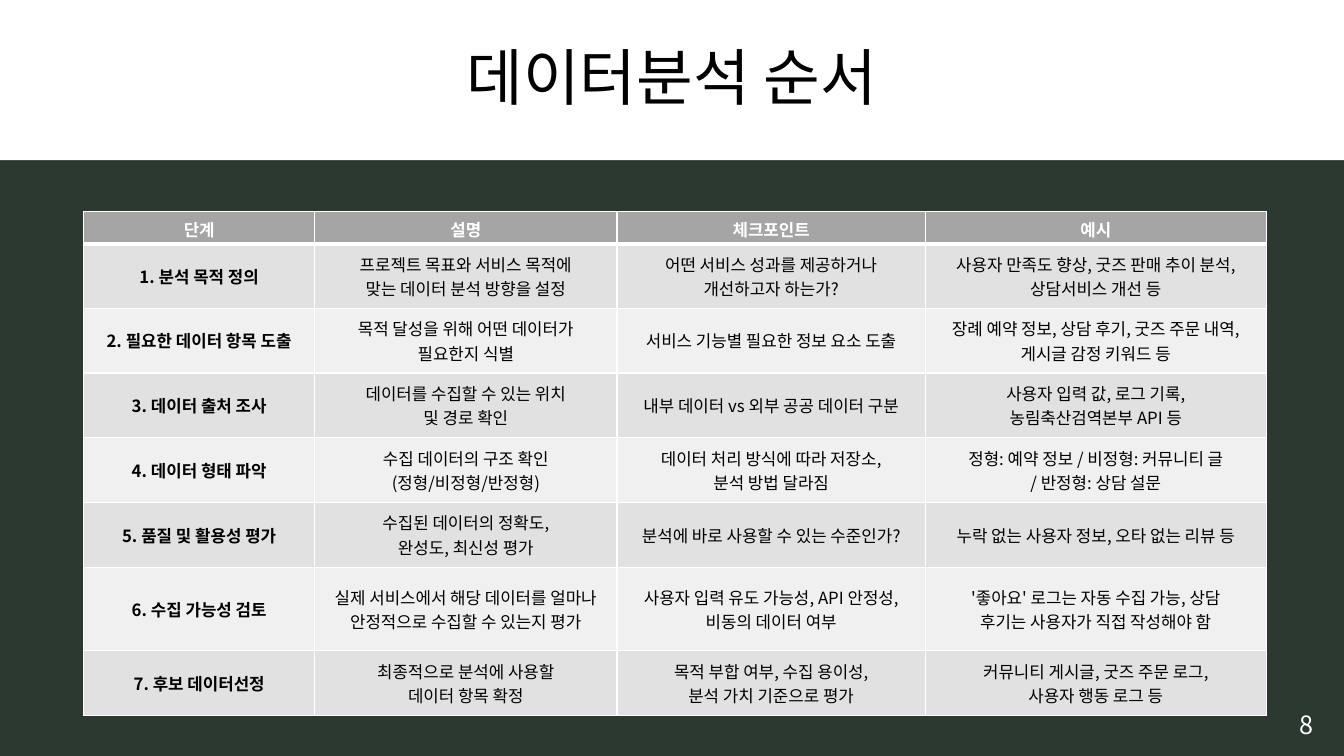
"""Build the slide listing the seven steps of data analysis in a table."""
from dataclasses import dataclass

from lxml.etree import SubElement
from pptx import Presentation
from pptx.dml.color import RGBColor as Color
from pptx.enum.shapes import MSO_SHAPE as Shape
from pptx.enum.text import MSO_ANCHOR as Anchor, MSO_AUTO_SIZE as AutoSize, PP_ALIGN as Align
from pptx.oxml.ns import qn
from pptx.util import Cm, Pt


@dataclass(frozen=True)
class Theme:
    font: str = "Noto Sans CJK KR"
    background: str = "2C3930"
    white: str = "FFFFFF"
    black: str = "000000"
    header: str = "A5A5A5"
    bands: tuple = ("E1E1E1", "F0F0F0")
    title_size: int = 44
    number_size: int = 18
    table_size: int = 12
    thin: int = 1
    thick: int = 3


theme = Theme()


def format_text(text_frame, size, color, bold=False):
    for paragraph in text_frame.paragraphs:
        paragraph.alignment = Align.CENTER
        for run in paragraph.runs:
            run.font.name = theme.font
            run.font.size = Pt(size)
            run.font.bold = bold
            run.font.color.rgb = Color.from_string(color)
            SubElement(run.font._element, qn("a:ea"), typeface=theme.font)


def add_border(cell, side, width):
    properties = cell._tc.get_or_add_tcPr()
    line = SubElement(properties, qn(f"a:ln{side}"), w=str(Pt(width)))
    fill = SubElement(line, qn("a:solidFill"))
    SubElement(fill, qn("a:srgbClr"), val=theme.white)


presentation = Presentation()
presentation.slide_width = Cm(33.87)
presentation.slide_height = Cm(19.05)
slide = presentation.slides.add_slide(presentation.slide_layouts[6])
slide.background.fill.solid()
slide.background.fill.fore_color.rgb = Color.from_string(theme.background)

title = slide.shapes.add_shape(Shape.RECTANGLE, 0, 0, presentation.slide_width, Cm(4.04))
title.shadow.inherit = False
title.fill.solid()
title.fill.fore_color.rgb = Color.from_string(theme.white)
title.line.fill.background()
title.text_frame.text = "데이터분석 순서"
title.text_frame.vertical_anchor = Anchor.MIDDLE
title.text_frame.paragraphs[0].line_spacing = 0.9
format_text(title.text_frame, theme.title_size, theme.black)

page_number = slide.shapes.add_textbox(Cm(31.98), Cm(17.75), Cm(1.88), Cm(1.02))
page_number.text_frame.word_wrap = True
page_number.text_frame.auto_size = AutoSize.SHAPE_TO_FIT_TEXT
page_number.text_frame.text = "8"
format_text(page_number.text_frame, theme.number_size, theme.white)

steps = [
    ("단계", "설명", "체크포인트", "예시"),
    ("1. 분석 목적 정의",
     "프로젝트 목표와 서비스 목적에\n맞는 데이터 분석 방향을 설정",
     "어떤 서비스 성과를 제공하거나\n개선하고자 하는가?",
     "사용자 만족도 향상, 굿즈 판매 추이 분석, 상담서비스 개선 등"),
    ("2. 필요한 데이터 항목 도출",
     "목적 달성을 위해 어떤 데이터가\n필요한지 식별",
     "서비스 기능별 필요한 정보 요소 도출",
     "장례 예약 정보, 상담 후기, 굿즈 주문 내역, 게시글 감정 키워드 등"),
    ("3. 데이터 출처 조사",
     "데이터를 수집할 수 있는 위치\n및 경로 확인",
     "내부 데이터 vs 외부 공공 데이터 구분",
     "사용자 입력 값, 로그 기록,\n농림축산검역본부 API 등"),
    ("4. 데이터 형태 파악",
     "수집 데이터의 구조 확인\n(정형/비정형/반정형)",
     "데이터 처리 방식에 따라 저장소,\n분석 방법 달라짐",
     "정형: 예약 정보 / 비정형: 커뮤니티 글\n/ 반정형: 상담 설문"),
    ("5. 품질 및 활용성 평가",
     "수집된 데이터의 정확도,\n완성도, 최신성 평가",
     "분석에 바로 사용할 수 있는 수준인가?",
     "누락 없는 사용자 정보, 오타 없는 리뷰 등"),
    ("6. 수집 가능성 검토",
     "실제 서비스에서 해당 데이터를 얼마나 안정적으로 수집할 수 있는지 평가",
     "사용자 입력 유도 가능성, API 안정성, 비동의 데이터 여부",
     "'좋아요' 로그는 자동 수집 가능, 상담\n후기는 사용자가 직접 작성해야 함"),
    ("7. 후보 데이터선정",
     "최종적으로 분석에 사용할\n데이터 항목 확정",
     "목적 부합 여부, 수집 용이성,\n분석 가치 기준으로 평가",
     "커뮤니티 게시글, 굿즈 주문 로그,\n사용자 행동 로그 등"),
]
column_widths = [5.82, 7.62, 7.77, 8.59]
row_heights = [0.81] + [1.63] * 5 + [2.11, 1.63]

table = slide.shapes.add_table(
    len(steps), len(column_widths), Cm(2.11), Cm(5.33),
    Cm(sum(column_widths)), Cm(sum(row_heights))).table
for column, width in zip(table.columns, column_widths):
    column.width = Cm(width)
for row, height in zip(table.rows, row_heights):
    row.height = Cm(height)

for row_index, step in enumerate(steps):
    is_header = row_index == 0
    fill_color = theme.header if is_header else theme.bands[(row_index - 1) % 2]
    text_color = theme.white if is_header else theme.black
    top_width = theme.thick if row_index == 1 else theme.thin
    bottom_width = theme.thick if is_header else theme.thin
    for column_index, text in enumerate(step):
        cell = table.cell(row_index, column_index)
        cell.text_frame.text = text
        cell.vertical_anchor = Anchor.MIDDLE
        format_text(cell.text_frame, theme.table_size, text_color,
                    bold=is_header or column_index == 0)
        for side, width in zip("LRTB", (theme.thin, theme.thin, top_width, bottom_width)):
            add_border(cell, side, width)
        cell.fill.solid()
        cell.fill.fore_color.rgb = Color.from_string(fill_color)

presentation.save("out.pptx")
